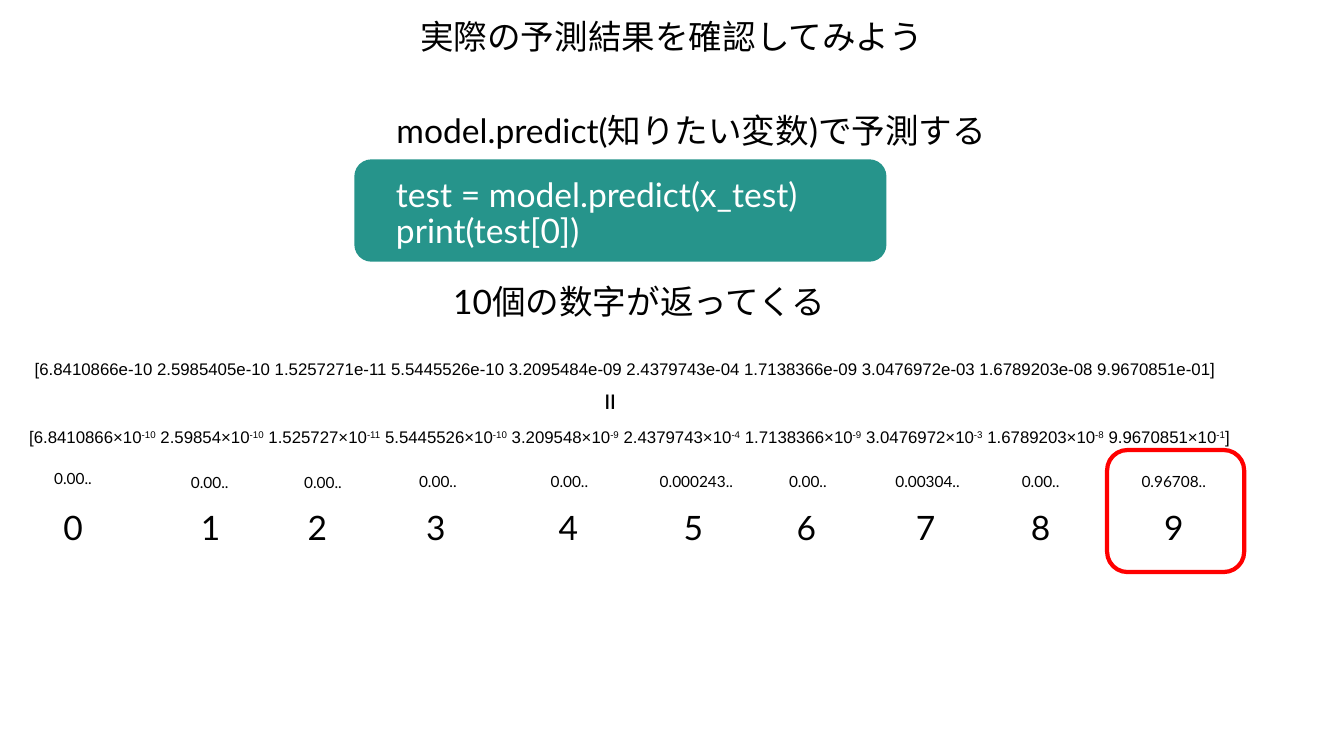
from pptx import Presentation
from pptx.dml.color import RGBColor as Rgb
from pptx.enum.shapes import MSO_SHAPE as Kind
from pptx.enum.text import MSO_ANCHOR as Anchor, MSO_AUTO_SIZE as Auto, PP_ALIGN as Align
from pptx.util import Cm, Pt

THEME = {
    "ink": Rgb(0, 0, 0), "paper": Rgb(255, 255, 255),
    "teal": Rgb(0x26, 0x94, 0x8B), "red": Rgb(255, 0, 0),
    "head": 48, "data": 24, "note": 22, "ring": 6, "lead": 0.9,
    "font": "Lato", "mono": "Arial",
}

# Text and its box: left, top, width, height in cm
HEADS = [
    ("実際の予測結果を確認してみよう", (20.42, 0.91, 26.87, 2.11)),
    ("model.predict(知りたい変数)で予測する", (18.64, 5.66, 32.41, 2.11)),
    ("10個の数字が返ってくる", (16, 14.27, 32.41, 2.11)),
]
CODE = ["test = model.predict(x_test)", "print(test[0])"]
ARRAY = ("[6.8410866e-10 2.5985405e-10 1.5257271e-11 5.5445526e-10 3.2095484e-09 "
         "2.4379743e-04 1.7138366e-09 3.0476972e-03 1.6789203e-08 9.9670851e-01]")
POWERS = [
    ("6.8410866", -10), ("2.59854", -10), ("1.525727", -11), ("5.5445526", -10),
    ("3.209548", -9), ("2.4379743", -4), ("1.7138366", -9), ("3.0476972", -3),
    ("1.6789203", -8), ("9.9670851", -1),
]
# Digit centre, chance, then its centre, top and width
CHANCES = [
    (3.68, "0.00..", 3.68, 23.6, 2.79),
    (10.62, "0.00..", 10.57, 23.8, 2.79),
    (16, "0.00..", 16.28, 23.8, 2.79),
    (21.97, "0.00..", 22.07, 23.77, 2.79),
    (28.65, "0.00..", 28.7, 23.77, 2.79),
    (34.95, "0.000243..", 35.1, 23.75, 5.23),
    (40.64, "0.00..", 40.72, 23.77, 2.79),
    (46.66, "0.00304..", 46.75, 23.75, 4.14),
    (52.45, "0.00..", 52.45, 23.75, 2.79),
    (59.16, "0.96708..", 59.16, 23.75, 4.72),
]
DIGIT_TOP, DIGIT_W = 25.63, 2.79


def add_run(para, text, size, font, tone="ink", raised=False):
    run = para.add_run()
    run.text = text
    run.font.size = Pt(THEME[size])
    run.font.name = THEME[font]
    run.font.color.rgb = THEME[tone]
    if raised:
        run._r.get_or_add_rPr().set("baseline", "30000")


def add_text(slide, lines, box, size="head", font="font", tone="ink", align=Align.CENTER):
    """Add a text box; each line is a list of (text, raised) runs."""
    shape = slide.shapes.add_textbox(*map(Cm, box))
    frame = shape.text_frame
    frame.word_wrap = True
    frame.auto_size = Auto.SHAPE_TO_FIT_TEXT
    for i, line in enumerate(lines):
        para = frame.add_paragraph() if i else frame.paragraphs[0]
        para.alignment = align
        para.line_spacing = THEME["lead"]
        for text, raised in line:
            add_run(para, text, size, font, tone, raised)
    return shape


def add_box(slide, kind, box, fill=None, line=None):
    shape = slide.shapes.add_shape(kind, *map(Cm, box))
    shape.shadow.inherit = False
    if fill:
        shape.fill.solid()
        shape.fill.fore_color.rgb = THEME[fill]
    else:
        shape.fill.background()
    if line:
        shape.line.color.rgb = THEME[line]
        shape.line.width = Pt(THEME["ring"])
    else:
        shape.line.fill.background()
    return shape


def add_array(slide):
    frame = add_box(slide, Kind.RECTANGLE, (1.75, 18.06, 60.96, 1.02), "paper").text_frame
    frame.margin_left = frame.margin_right = frame.margin_top = frame.margin_bottom = 0
    frame.vertical_anchor = Anchor.MIDDLE
    frame.word_wrap = True
    frame.auto_size = Auto.SHAPE_TO_FIT_TEXT
    para = frame.paragraphs[0]
    para.alignment = Align.LEFT
    add_run(para, ARRAY, "data", "mono")


def add_powers(slide):
    runs = []
    for i, (base, power) in enumerate(POWERS):
        runs += [(f"{' ' if i else '['}{base}×10", False), (str(power), True)]
    runs.append(("]", False))
    add_text(slide, [runs], (1.22, 21.51, 61.49, 1.17), "data", "mono", align=Align.LEFT)


def main():
    deck = Presentation()
    deck.slide_width, deck.slide_height = Cm(67.74), Cm(38.1)
    slide = deck.slides.add_slide(deck.slide_layouts[6])

    add_box(slide, Kind.ROUNDED_RECTANGLE, (17.86, 8.03, 26.82, 5.16), "teal")
    for text, box in HEADS:
        add_text(slide, [[(text, False)]], box)
    add_text(slide, [[(line, False)] for line in CODE], (19.71, 8.86, 31.12, 3.96),
             tone="paper", align=Align.LEFT)
    add_array(slide)
    add_powers(slide)
    for digit, (mid, chance, centre, top, width) in enumerate(CHANCES):
        add_text(slide, [[(str(digit), False)]], (mid - DIGIT_W / 2, DIGIT_TOP, DIGIT_W, 2.11))
        add_text(slide, [[(chance, False)]], (centre - width / 2, top, width, 1.09), "note")
    add_text(slide, [[("=", False)]], (28.3, 19.23, 4.83, 2.11)).rotation = 90
    add_box(slide, Kind.ROUNDED_RECTANGLE, (55.8, 22.68, 6.91, 6.15), line="red")
    deck.save("out.pptx")


if __name__ == "__main__":
    main()
